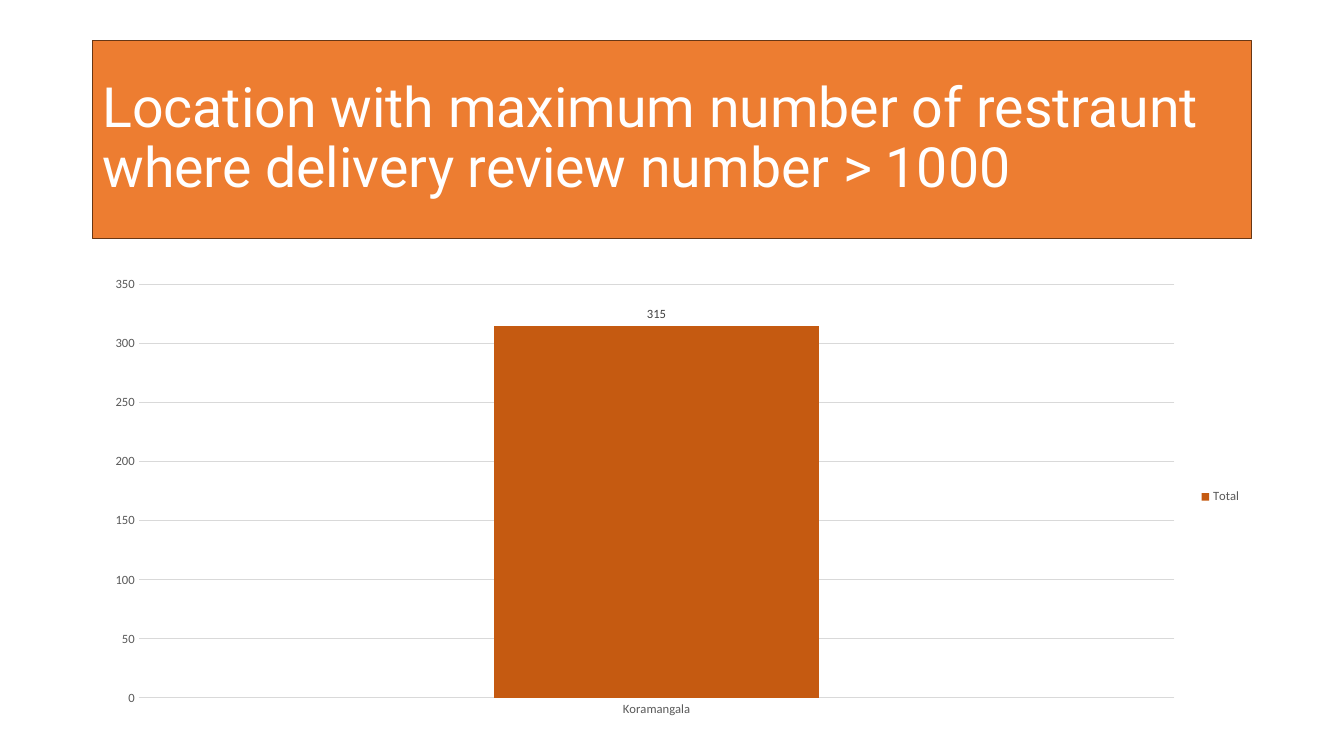
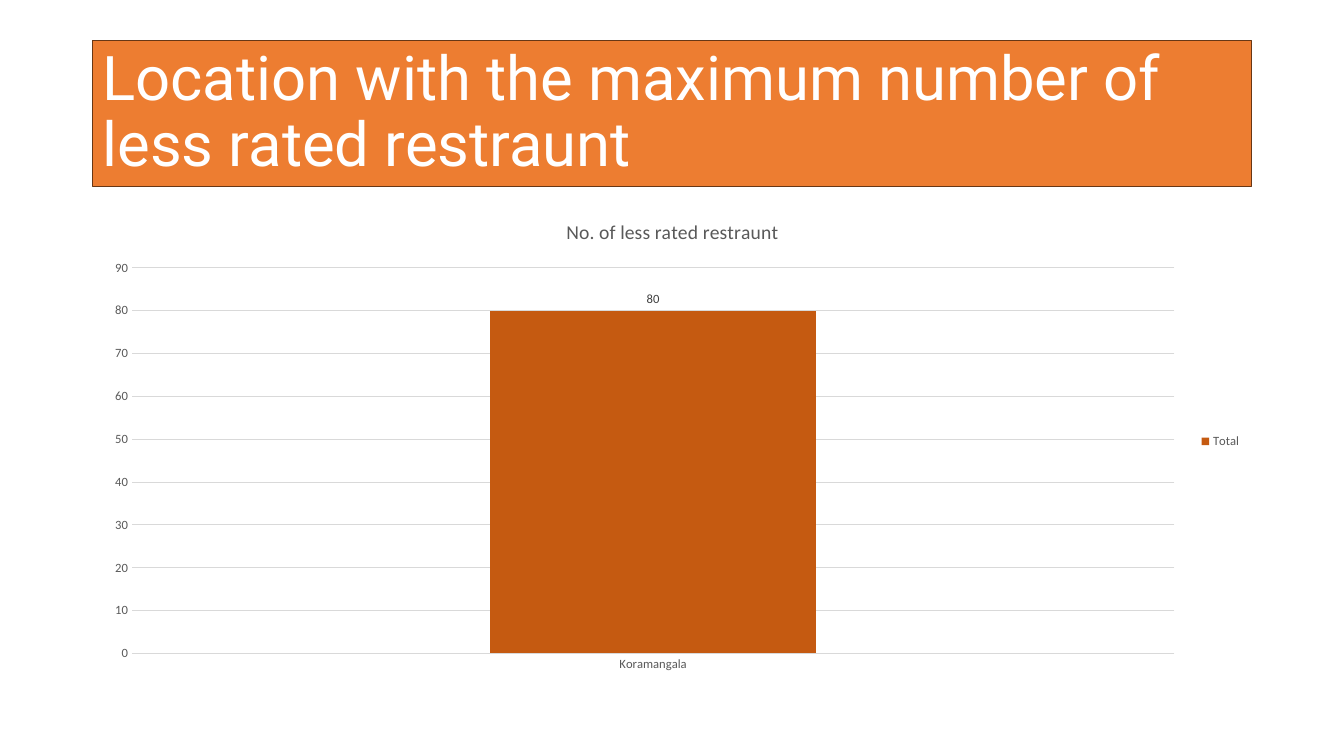
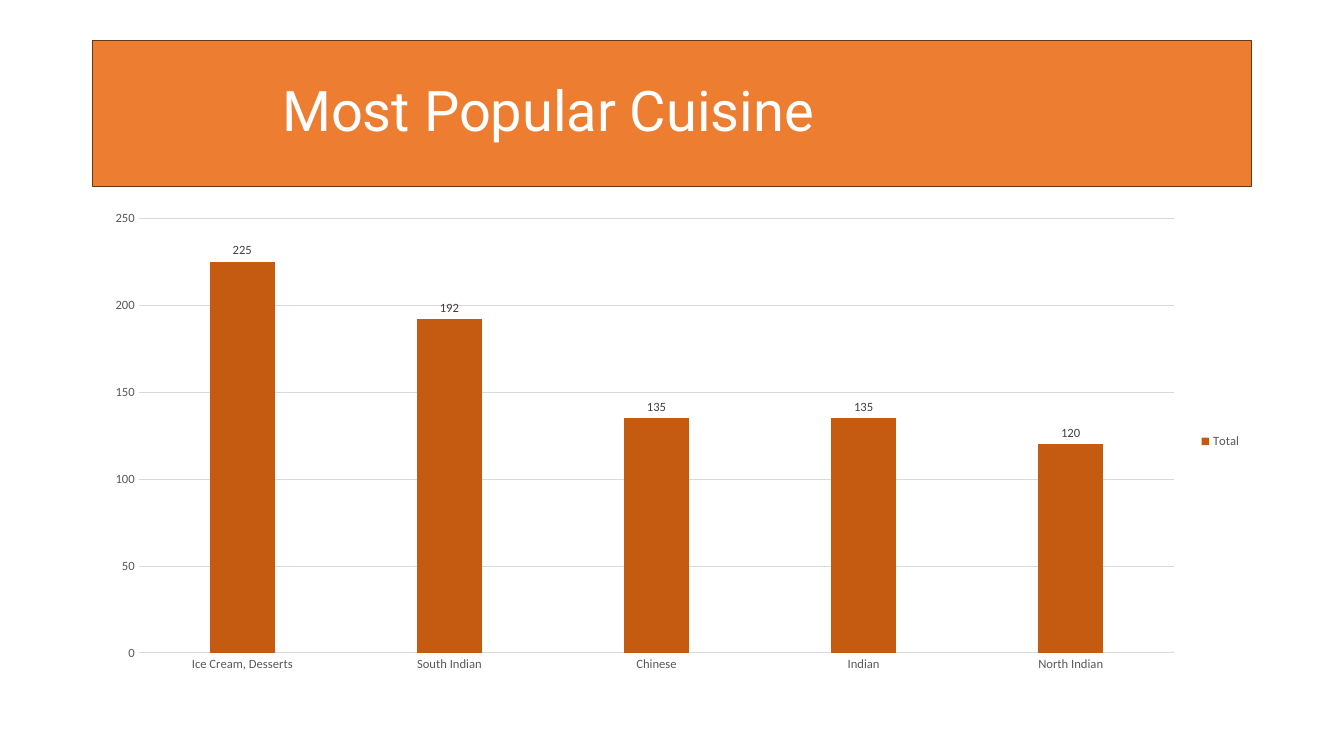
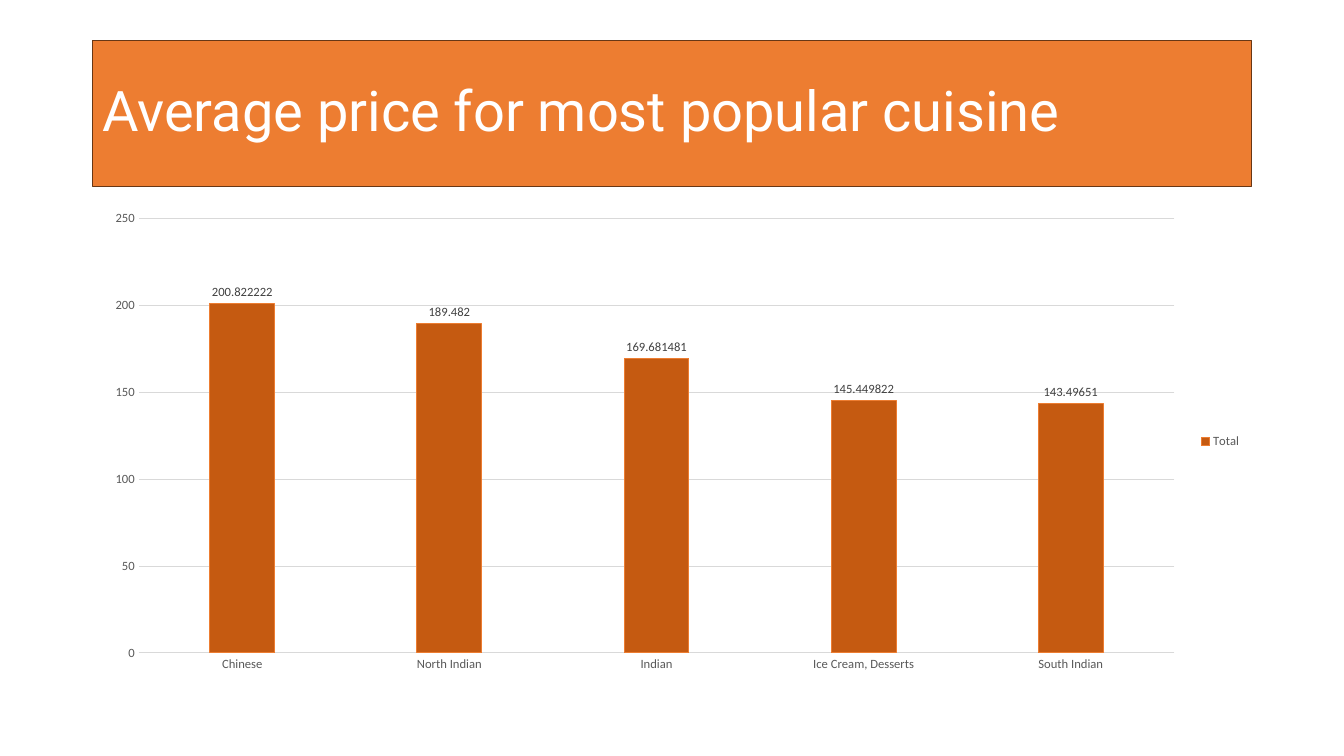
from dataclasses import dataclass

from lxml.etree import SubElement as Sub
from pptx import Presentation
from pptx.chart.data import CategoryChartData as Data
from pptx.dml.color import RGBColor as RGB
from pptx.enum.chart import XL_CHART_TYPE as Kind
from pptx.enum.chart import XL_LABEL_POSITION as Spot
from pptx.enum.chart import XL_LEGEND_POSITION as Side
from pptx.enum.chart import XL_TICK_MARK as Tick
from pptx.enum.text import MSO_ANCHOR as Anchor
from pptx.enum.text import MSO_AUTO_SIZE as Fit
from pptx.enum.text import PP_ALIGN as Align
from pptx.oxml.ns import qn
from pptx.util import Pt

# Content
SLIDES = [
    {
        "title": "Location with maximum number of restraunt where delivery review number > 1000",
        "size": 39.6,
        "band": 236,
        "chart": (319, 545),
        "data": [("Koramangala", 315)],
    },
    {
        "title": "Location with the maximum number of less rated restraunt",
        "size": 44,
        "head": "No. of less rated restraunt",
        "data": [("Koramangala", 80)],
    },
    {
        "title": "Most Popular Cuisine",
        "indent": 214,
        "data": [
            ("Ice Cream, Desserts", 225),
            ("South Indian", 192),
            ("Chinese", 135),
            ("Indian", 135),
            ("North Indian", 120),
        ],
    },
    {
        "title": "Average price for most popular cuisine",
        "edge": True,
        "data": [
            ("Chinese", 200.822222),
            ("North Indian", 189.482),
            ("Indian", 169.681481),
            ("Ice Cream, Desserts", 145.449822),
            ("South Indian", 143.49651),
        ],
    },
]


@dataclass(frozen=True)
class Theme:
    band: str = "ED7D31"
    rim: str = "683715"
    white: str = "FFFFFF"
    bar: str = "C55A11"
    grid: str = "D9D9D9"
    text: str = "595959"
    label: str = "404040"
    title_font: str = "Roboto"
    chart_font: str = "Calibri"
    title: float = 40
    head: float = 14
    small: float = 9


T = Theme()
# Lengths in px, 120 to the inch
W, H = 1600, 900
LEFT, TOP, WIDE, BAND = 110, 48, 1380, 174
CHART = (240, 571)
# Places inside a chart that has a heading
HEAD_AT = {"x": 560, "y": 16}
PLOT_AT = {"x": 47, "y": 79, "w": 1241, "h": 459}


def px(n):
    return n * 7620


def rgb(code):
    return RGB.from_string(code)


def ink(font, face, size, color):
    font.name, font.size, font.bold = face, Pt(size), False
    font.color.rgb = rgb(color)


def stroke(line, color, width=0.75):
    line.color.rgb = rgb(color)
    line.width = Pt(width)


def place(node, spot, at, high):
    """Give a chart part a fixed layout, as child number `at`."""
    for old in node.findall(qn("c:layout")):
        node.remove(old)
    lay = Sub(node, qn("c:layout"))
    node.insert(at, lay)
    box = Sub(lay, qn("c:manualLayout"))
    if "w" in spot:
        Sub(box, qn("c:layoutTarget")).set("val", "inner")
    for key in ("x", "y"):
        Sub(box, qn(f"c:{key}Mode")).set("val", "edge")
    for key, size in spot.items():
        share = size / (WIDE if key in "xw" else high)
        Sub(box, qn(f"c:{key}")).set("val", f"{share:.4f}")


def add_title(slide, item):
    box = slide.shapes.title
    box.left, box.top = px(LEFT), px(TOP)
    box.width, box.height = px(WIDE), px(item.get("band", BAND))
    box.fill.solid()
    box.fill.fore_color.rgb = rgb(T.band)
    stroke(box.line, T.rim, 1)
    frame = box.text_frame
    frame.word_wrap, frame.auto_size = True, Fit.NONE
    frame.vertical_anchor = Anchor.MIDDLE
    para = frame.paragraphs[0]
    para.alignment, para.line_spacing = Align.LEFT, 0.9
    if "indent" in item:
        para._p.get_or_add_pPr().set("marL", str(px(item["indent"])))
    run = para.add_run()
    run.text = item["title"]
    ink(run.font, T.title_font, item.get("size", T.title), T.white)


def add_head(chart, text, high):
    chart.has_title = True
    run = chart.chart_title.text_frame.paragraphs[0].add_run()
    run.text = text
    ink(run.font, T.chart_font, T.head, T.text)
    chart.chart_title.include_in_layout = False
    root = chart._chartSpace.chart
    place(root.find(qn("c:title")), HEAD_AT, 1, high)
    place(root.find(qn("c:plotArea")), PLOT_AT, 0, high)


def add_bars(slide, item):
    names, vals = zip(*item["data"])
    data = Data()
    data.categories = names
    data.add_series("Total", vals)
    top, high = item.get("chart", CHART)
    chart = slide.shapes.add_chart(
        Kind.COLUMN_CLUSTERED, px(LEFT), px(top), px(WIDE), px(high), data
    ).chart
    ink(chart.font, T.chart_font, 10, "000000")

    # Heading and legend
    chart.has_title = False
    if "head" in item:
        add_head(chart, item["head"], high)
    chart.has_legend = True
    chart.legend.position = Side.RIGHT
    chart.legend.include_in_layout = False
    ink(chart.legend.font, T.chart_font, T.small, T.text)

    # Axes
    for axis in (chart.category_axis, chart.value_axis):
        axis.major_tick_mark = axis.minor_tick_mark = Tick.NONE
        ink(axis.tick_labels.font, T.chart_font, T.small, T.text)
    stroke(chart.category_axis.format.line, T.grid)
    chart.value_axis.format.line.fill.background()
    chart.value_axis.has_major_gridlines = True
    stroke(chart.value_axis.major_gridlines.format.line, T.grid)

    # Bars and their labels
    plot = chart.plots[0]
    plot.gap_width, plot.overlap, plot.vary_by_categories = 219, -27, False
    bars = plot.series[0]
    bars.invert_if_negative = False
    bars.format.fill.solid()
    bars.format.fill.fore_color.rgb = rgb(T.bar)
    if item.get("edge"):
        stroke(bars.format.line, T.band)
    else:
        bars.format.line.fill.background()
    tags = bars.data_labels
    tags.show_value, tags.position = True, Spot.OUTSIDE_END
    ink(tags.font, T.chart_font, T.small, T.label)


def main():
    deck = Presentation()
    deck.slide_width, deck.slide_height = px(W), px(H)
    for item in SLIDES:
        slide = deck.slides.add_slide(deck.slide_layouts[5])
        add_title(slide, item)
        add_bars(slide, item)
    deck.save("out.pptx")


if __name__ == "__main__":
    main()
